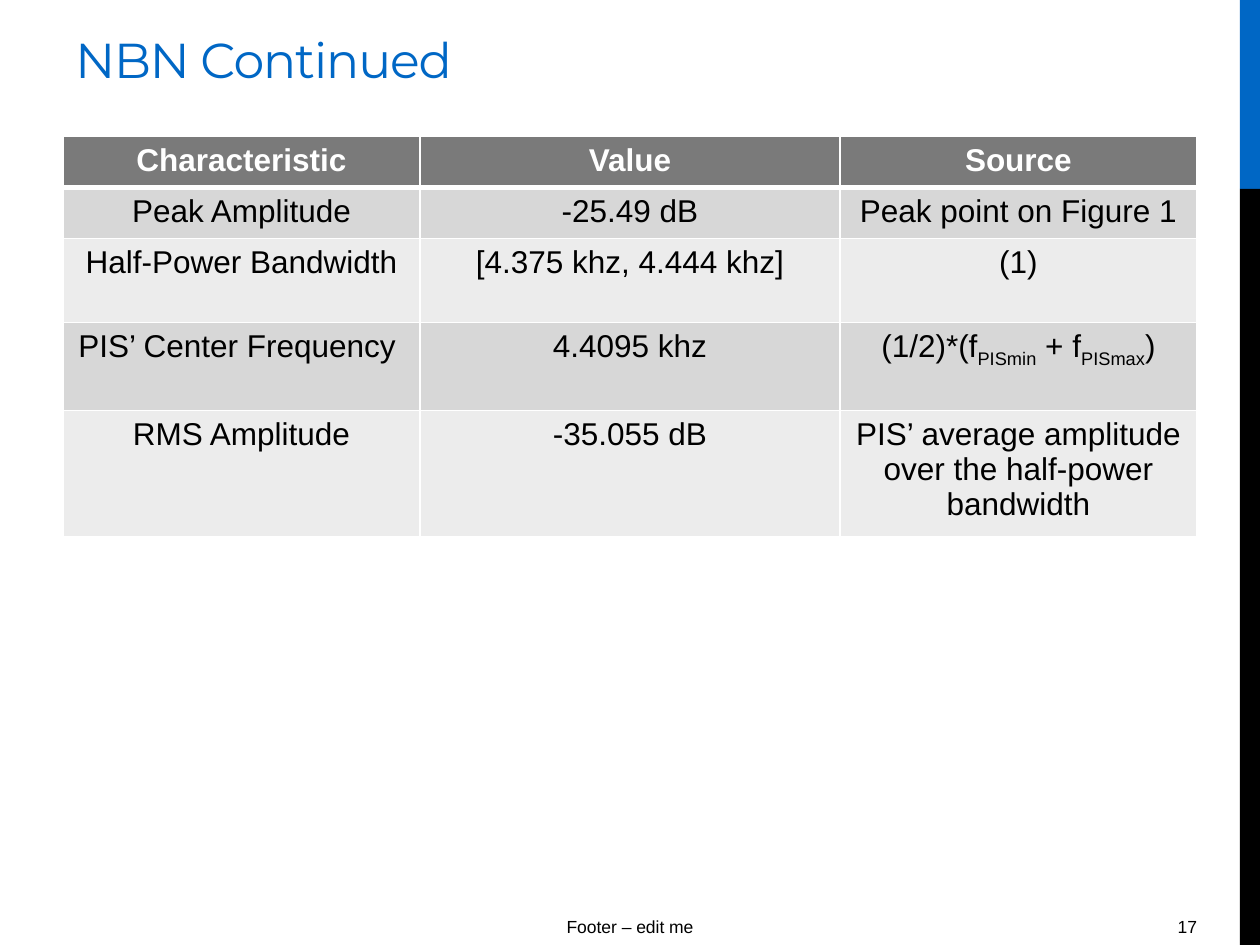
import pptx
import pptx.util
import pptx.dml.color
import pptx.enum.shapes
import pptx.enum.text
import pptx.oxml
import pptx.oxml.ns

Pt = pptx.util.Pt
ALIGN = pptx.enum.text.PP_ALIGN
BLUE, BLACK, WHITE = "0067C5", "000000", "FFFFFF"
HEADER_FILL, BAND_FILLS = "7A7A7A", ("D7D7D7", "ECECEC")

COLUMN_WIDTHS = (204, 240, 204)
ROW_HEIGHTS = (29.2, 29.2, 48, 50.2, 67.4)
# A cell is a string, or a list of parts that alternate normal and subscript.
ROWS = (
    ("Characteristic", "Value", "Source"),
    ("Peak Amplitude", "-25.49 dB", "Peak point on Figure 1"),
    ("Half-Power Bandwidth", "[4.375 khz, 4.444 khz]", "(1)"),
    ("PIS’ Center Frequency ", "4.4095 khz",
     ["(1/2)*(f", "PISmin", " + f", "PISmax", ")"]),
    ("RMS Amplitude", "-35.055 dB",
     "PIS’ average amplitude over the half-power bandwidth"),
)


def rgb(color):
    return pptx.dml.color.RGBColor.from_string(color)


def format_run(r, size, color, font="Arial", bold=False):
    r.font.name = font
    r.font.size = Pt(size)
    r.font.bold = bold
    r.font.color.rgb = rgb(color)


def add_bar(s, left, top, width, height, color):
    sp = s.shapes.add_shape(pptx.enum.shapes.MSO_SHAPE.RECTANGLE,
                            Pt(left), Pt(top), Pt(width), Pt(height))
    sp.shadow.inherit = False
    sp.fill.solid()
    sp.fill.fore_color.rgb = rgb(color)
    sp.line.fill.background()


def add_label(s, text, left, top, width, height, size, color, font="Arial",
              align=ALIGN.LEFT, margin_right=7.2):
    """Add a one-line text box, centred vertically, and return its run."""
    sp = s.shapes.add_textbox(Pt(left), Pt(top), Pt(width), Pt(height))
    tf = sp.text_frame
    tf.word_wrap = True
    tf.vertical_anchor = pptx.enum.text.MSO_ANCHOR.MIDDLE
    tf.margin_right = Pt(margin_right)
    tf.text = text
    p = tf.paragraphs[0]
    p.alignment = align
    r = p.runs[0]
    format_run(r, size, color, font)
    return r


def set_borders(cell, top, bottom):
    """Draw white cell borders; top and bottom are line widths in points."""
    tc_pr = cell._tc.get_or_add_tcPr()
    for side, width in (("L", 1), ("R", 1), ("T", top), ("B", bottom)):
        tc_pr.append(pptx.oxml.parse_xml(
            f'<a:ln{side} {pptx.oxml.ns.nsdecls("a")} w="{Pt(width)}">'
            f'<a:solidFill><a:srgbClr val="{WHITE}"/></a:solidFill>'
            f'</a:ln{side}>'))


def fill_cell(cell, content, row):
    is_header = row == 0
    set_borders(cell, top=3 if row == 1 else 1, bottom=3 if is_header else 1)
    cell.fill.solid()
    cell.fill.fore_color.rgb = rgb(
        HEADER_FILL if is_header else BAND_FILLS[(row - 1) % 2])
    p = cell.text_frame.paragraphs[0]
    p.alignment = ALIGN.CENTER
    parts = [content] if isinstance(content, str) else content
    for i, part in enumerate(parts):
        r = p.add_run()
        r.text = part
        format_run(r, 18, WHITE if is_header else BLACK, bold=is_header)
        if i % 2:
            r.font._element.set("baseline", "-25000")


def add_characteristics_table(s, left, top):
    table = s.shapes.add_table(
        len(ROWS), len(COLUMN_WIDTHS), Pt(left), Pt(top),
        Pt(sum(COLUMN_WIDTHS)), Pt(sum(ROW_HEIGHTS))).table
    for column, width in zip(table.columns, COLUMN_WIDTHS):
        column.width = Pt(width)
    for i, (height, contents) in enumerate(zip(ROW_HEIGHTS, ROWS)):
        table.rows[i].height = Pt(height)
        for j, content in enumerate(contents):
            fill_cell(table.cell(i, j), content, i)


def main():
    prs = pptx.Presentation()
    prs.slide_width, prs.slide_height = Pt(720), Pt(540)
    s = prs.slides.add_slide(prs.slide_layouts[6])

    add_bar(s, 708.5, 0, 11.5, 108, BLUE)
    add_bar(s, 708.5, 108, 11.5, 432, BLACK)
    add_label(s, "Footer – edit me", 216, 518.4, 288, 21.6, 10, BLACK,
              align=ALIGN.CENTER)
    add_label(s, "17", 576, 518.4, 144, 21.6, 10, BLACK,
              align=ALIGN.RIGHT, margin_right=36)
    title = add_label(s, "NBN Continued", 36, 12.2, 648, 43.2, 28, BLUE,
                      font="Montserrat")
    title.font._element.set("spc", "-60")
    add_characteristics_table(s, 36, 78)

    prs.save("out.pptx")


if __name__ == "__main__":
    main()
